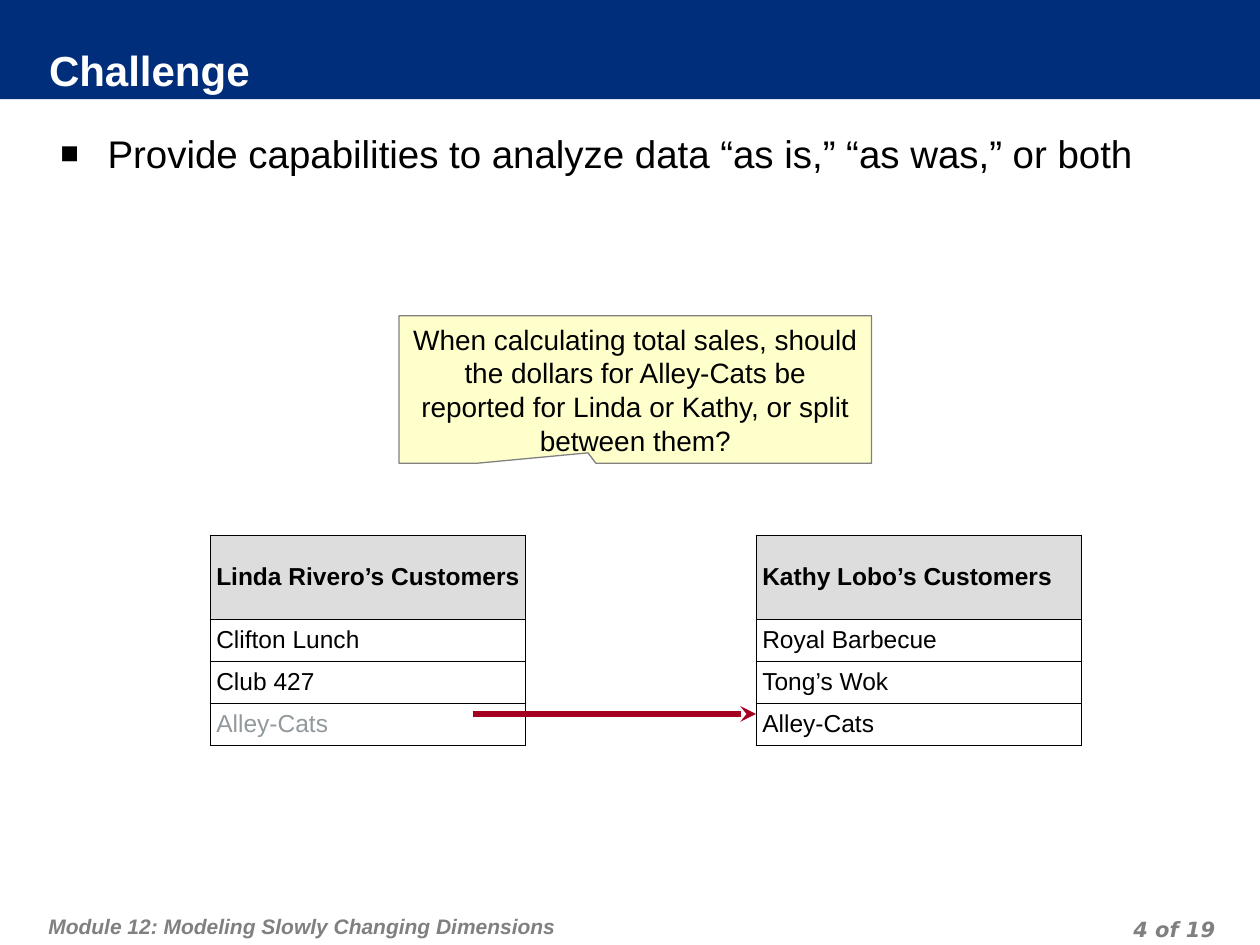
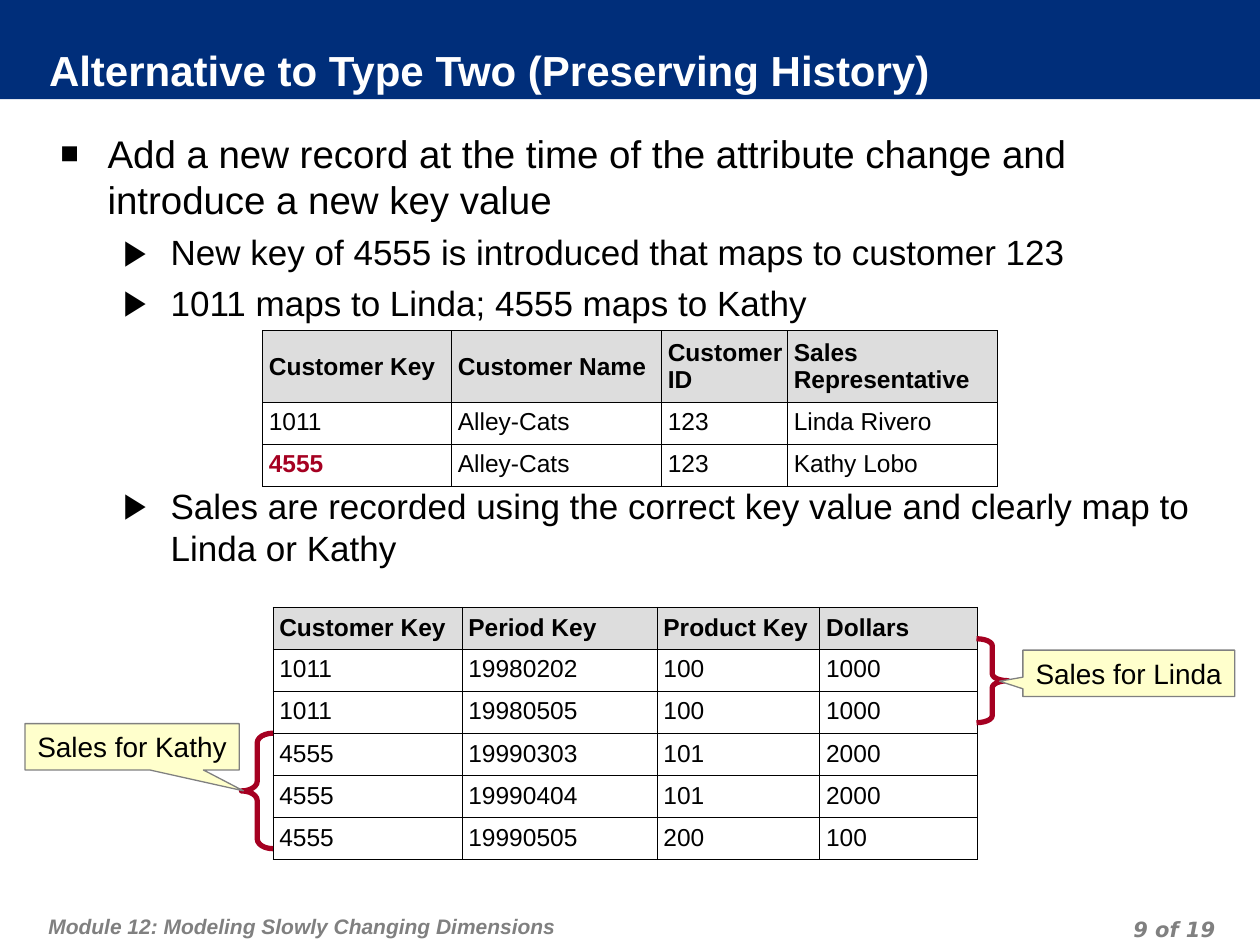
"""Build two slides on modeling slowly changing dimensions."""
from lxml import etree
from pptx import Presentation
from pptx.dml.color import RGBColor
from pptx.enum import shapes, text
from pptx.oxml import ns
from pptx.util import Pt

NAVY, WHITE, BLACK, GREY = "002E7A", "FFFFFF", "000000", "808080"
RED, YELLOW, HEADER, FADED = "A50021", "FFFFCC", "DDDDDD", "92999D"
FONT, PAGE_FONT = "Arial", "DejaVu Sans"
FOOTER, PAGE_COUNT = "Module 12: Modeling Slowly Changing Dimensions", 19
LEVELS = [dict(size=22, indent=27, before=5.5, bullet="\u25a0", scale=80),
          dict(size=20, indent=63, before=5, bullet="\u25b6", scale=100)]
HANG, TABLE_GAP = 27, 92
SHAPE, ALIGN, ANCHOR = shapes.MSO_SHAPE, text.PP_ALIGN, text.MSO_ANCHOR

SLIDES = [
    dict(
        title="Challenge", page=4,
        bullets=[(0, "Provide capabilities to analyze data “as is,” “as was,” or both", None)],
        tables=[
            dict(at=(120, 306), cols=[180], heights=[48, 24, 24, 24],
                 rows=[["Linda Rivero’s Customers"], ["Clifton Lunch"], ["Club 427"], ["Alley-Cats"]],
                 marks={(3, 0): (FADED, False)}),
            dict(at=(432, 306), cols=[186], heights=[48, 24, 24, 24],
                 rows=[["Kathy Lobo’s Customers"], ["Royal Barbecue"], ["Tong’s Wok"], ["Alley-Cats"]]),
        ],
        callouts=[("When calculating total sales, should the dollars for Alley-Cats be "
                   "reported for Linda or Kathy, or split between them?",
                   (228, 180.5, 270, 84.2), (-0.1, 0.43), True)],
        arrows=[(270, 408, 432, 408)],
    ),
    dict(
        title="Alternative to Type Two (Preserving History)", page=9,
        bullets=[
            (0, "Add a new record at the time of the attribute change and introduce a new key value", None),
            (1, "New key of 4555 is introduced that maps to customer 123", None),
            (1, "1011 maps to Linda; 4555 maps to Kathy", None),
            (1, "Sales are recorded using the correct key value and clearly map to Linda or Kathy", TABLE_GAP),
        ],
        tables=[
            dict(at=(156, 347), cols=[108, 111.5, 93, 90], heights=[23, 23, 24, 24, 24, 23],
                 rows=[["Customer Key", "Period Key", "Product Key", "Dollars"],
                       ["1011", "19980202", "100", "1000"],
                       ["1011", "19980505", "100", "1000"],
                       ["4555", "19990303", "101", "2000"],
                       ["4555", "19990404", "101", "2000"],
                       ["4555", "19990505", "200", "100"]]),
            dict(at=(150, 189), cols=[108, 120, 72, 120], heights=[38.5, 23, 24],
                 rows=[["Customer Key", "Customer Name", "Customer ID", "Sales Representative"],
                       ["1011", "Alley-Cats", "123", "Linda Rivero"],
                       ["4555", "Alley-Cats", "123", "Kathy Lobo"]],
                 marks={(2, 0): (RED, True)}),
        ],
        braces=[(SHAPE.RIGHT_BRACE, (558, 365, 18, 48)),
                (SHAPE.LEFT_BRACE, (138, 419, 18, 66))],
        callouts=[("Sales for Linda", (584.5, 371.5, 121, 26.5), (-0.61, 0.17), False),
                  ("Sales for Kathy", (14.3, 413.5, 122.4, 26.5), (0.52, 0.95), False)],
    ),
]


def rgb(color):
    return RGBColor.from_string(color)


def add_run(p, words, size, color=BLACK, bold=False, italic=False, font=FONT):
    r = p.add_run()
    r.text = words
    r.font.size, r.font.name = Pt(size), font
    r.font.bold, r.font.italic = bold, italic
    r.font.color.rgb = rgb(color)


def set_frame(tf, insets, anchor=ANCHOR.TOP, wrap=True):
    tf.word_wrap, tf.vertical_anchor = wrap, anchor
    tf.margin_left, tf.margin_top, tf.margin_right, tf.margin_bottom = map(Pt, insets)
    return tf.paragraphs[0]


def add_shape(s, kind, box, fill=None, line=None, width=0.75):
    sp = s.shapes.add_shape(kind, *map(Pt, box))
    sp.shadow.inherit = False
    if fill:
        sp.fill.solid()
        sp.fill.fore_color.rgb = rgb(fill)
    else:
        sp.fill.background()
    if line:
        sp.line.color.rgb = rgb(line)
        sp.line.width = Pt(width)
    else:
        sp.line.fill.background()
    return sp


def add_footer(s, words, box, top, align, font):
    sp = s.shapes.add_textbox(*map(Pt, box))
    p = set_frame(sp.text_frame, (3.6, top, 3.6, 0))
    p.alignment, p.line_spacing, p.space_before = align, Pt(18), Pt(6)
    add_run(p, words, 12, GREY, True, True, font)


def add_frame(s, title, page):
    add_shape(s, SHAPE.RECTANGLE, (0, 0, 720, 56.7), NAVY)
    add_footer(s, FOOTER, (24, 511, 445, 29), 7.2, ALIGN.LEFT, FONT)
    add_footer(s, f"{page} of {PAGE_COUNT}", (530, 520, 168, 18), 0, ALIGN.RIGHT, PAGE_FONT)
    sp = add_shape(s, SHAPE.RECTANGLE, (28, 27.4, 567, 28.8), NAVY)
    p = set_frame(sp.text_frame, (0, 0, 3.6, 3.6), ANCHOR.MIDDLE)
    p.alignment = ALIGN.LEFT
    add_run(p, title, 24, WHITE, True)


def add_bullets(s, bullets):
    tf = s.shapes.add_textbox(Pt(27.4), Pt(67), Pt(670), Pt(445)).text_frame
    first = set_frame(tf, (7.2, 7.2, 7.2, 3.6))
    for i, (depth, words, before) in enumerate(bullets):
        p = tf.add_paragraph() if i else first
        level = LEVELS[depth]
        p.level = depth
        p.space_before = Pt(before or level["before"])
        props = p._p.get_or_add_pPr()
        props.set("marL", str(Pt(level["indent"])))
        props.set("indent", str(-Pt(HANG)))
        color = etree.SubElement(props, ns.qn("a:buClr"))
        etree.SubElement(color, ns.qn("a:srgbClr"), val=BLACK)
        etree.SubElement(props, ns.qn("a:buSzPct"), val=str(level["scale"] * 1000))
        etree.SubElement(props, ns.qn("a:buFont"), typeface=FONT)
        etree.SubElement(props, ns.qn("a:buChar"), char=level["bullet"])
        add_run(p, words, level["size"])


def set_borders(cell):
    props = cell._tc.get_or_add_tcPr()
    for side in ("lnL", "lnR", "lnT", "lnB"):
        ln = etree.SubElement(props, ns.qn("a:" + side), w=str(Pt(0.45)))
        fill = etree.SubElement(ln, ns.qn("a:solidFill"))
        etree.SubElement(fill, ns.qn("a:srgbClr"), val=BLACK)


def add_table(s, at, cols, heights, rows, marks={}):
    box = (*at, sum(cols), sum(heights))
    table = s.shapes.add_table(len(rows), len(cols), *map(Pt, box)).table
    table.first_row = table.horz_banding = False
    for column, width in zip(table.columns, cols):
        column.width = Pt(width)
    for i, (row, height) in enumerate(zip(rows, heights)):
        table.rows[i].height = Pt(height)
        for j, words in enumerate(row):
            cell = table.cell(i, j)
            set_borders(cell)
            cell.fill.solid()
            cell.fill.fore_color.rgb = rgb(WHITE if i else HEADER)
            cell.vertical_anchor = ANCHOR.TOP if i else ANCHOR.MIDDLE
            cell.margin_left = cell.margin_top = cell.margin_bottom = Pt(3.6)
            cell.margin_right = Pt(1.4)
            color, bold = marks.get((i, j), (BLACK, i == 0))
            add_run(cell.text_frame.paragraphs[0], words, 14, color, bold)


def add_arrow(s, ends):
    line = s.shapes.add_connector(shapes.MSO_CONNECTOR.STRAIGHT, *map(Pt, ends))
    line.line.color.rgb = rgb(RED)
    line.line.width = Pt(3)
    etree.SubElement(line.line._get_or_add_ln(), ns.qn("a:tailEnd"), type="stealth")
    etree.SubElement(line._element.spPr, ns.qn("a:effectLst"))


def add_brace(s, kind, box):
    sp = add_shape(s, kind, box, line=RED, width=3)
    sp.adjustments[0] = box[3] / 12 / box[2]


def add_callout(s, words, box, tip, wrap):
    sp = add_shape(s, SHAPE.RECTANGULAR_CALLOUT, box, YELLOW, GREY)
    sp.adjustments[0], sp.adjustments[1] = tip
    p = set_frame(sp.text_frame, (7.2, 3.6, 7.2, 3.6), ANCHOR.MIDDLE, wrap)
    p.alignment = ALIGN.CENTER
    add_run(p, words, 16)


prs = Presentation()
prs.slide_width, prs.slide_height = Pt(720), Pt(540)
for content in SLIDES:
    s = prs.slides.add_slide(prs.slide_layouts[6])
    add_frame(s, content["title"], content["page"])
    add_bullets(s, content["bullets"])
    for table in content["tables"]:
        add_table(s, **table)
    for brace in content.get("braces", []):
        add_brace(s, *brace)
    for callout in content["callouts"]:
        add_callout(s, *callout)
    for ends in content.get("arrows", []):
        add_arrow(s, ends)
prs.save("out.pptx")
